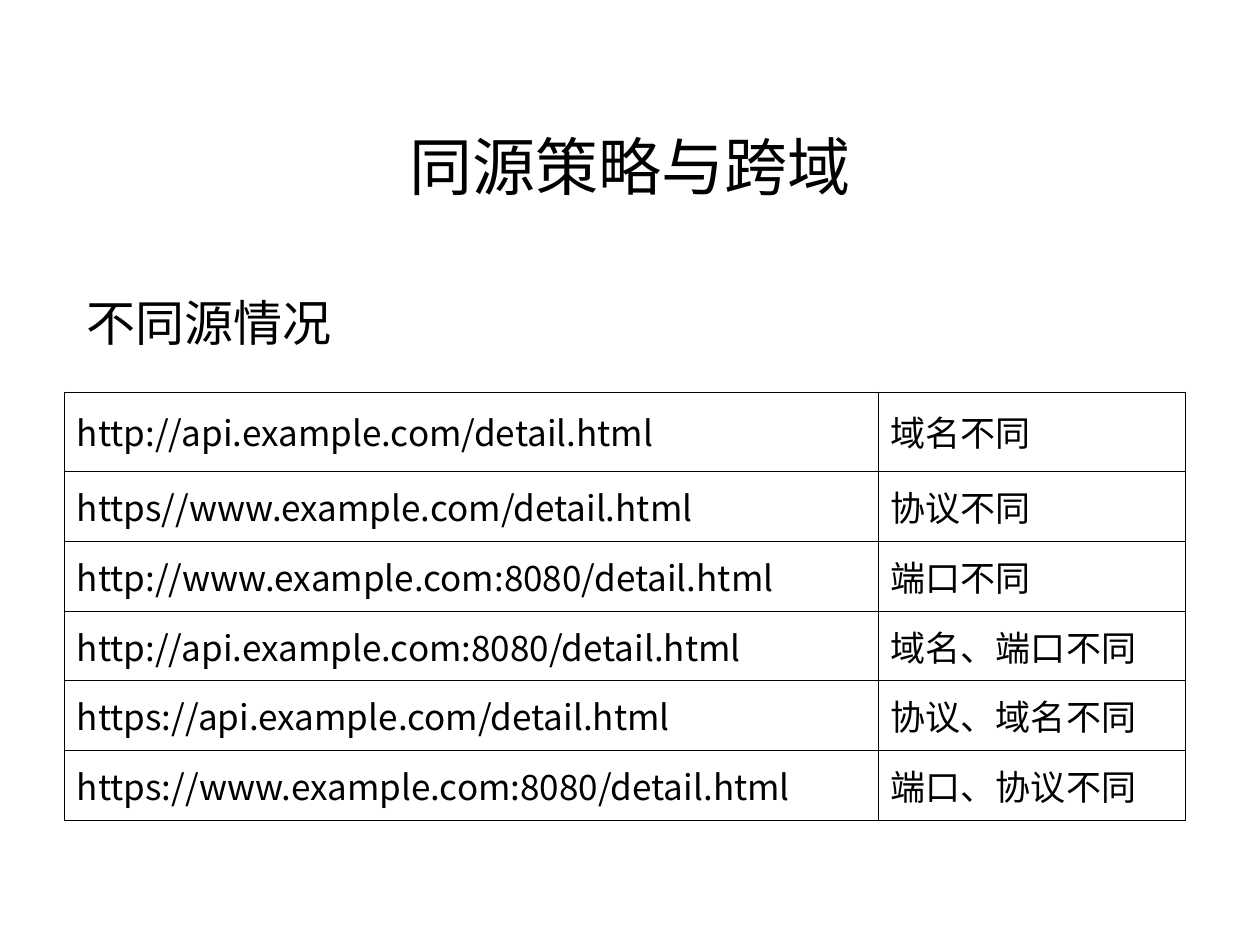
from lxml.etree import SubElement
from pptx import Presentation
from pptx.dml.color import RGBColor
from pptx.enum.text import MSO_ANCHOR, PP_ALIGN
from pptx.oxml.ns import qn
from pptx.util import Inches, Pt

TITLE = "同源策略与跨域"
HEAD = "不同源情况"
ROWS = [
    ("http://api.example.com/detail.html", "域名不同"),
    ("https//www.example.com/detail.html", "协议不同"),
    ("http://www.example.com:8080/detail.html", "端口不同"),
    ("http://api.example.com:8080/detail.html", "域名、端口不同"),
    ("https://api.example.com/detail.html", "协议、域名不同"),
    ("https://www.example.com:8080/detail.html", "端口、协议不同"),
]
COLS = [6.46, 2.44]
TALL, TABLE = 0.63, 3.4
REST = (TABLE - TALL) / (len(ROWS) - 1)
CJK = "Noto Sans CJK SC"
FONTS = [CJK, "Calibri"]
THIN, MID = 0.23, 0.45
EDGES = [
    {"lnL": THIN, "lnR": MID, "lnT": THIN, "lnB": THIN},
    {"lnL": MID, "lnR": THIN, "lnT": THIN, "lnB": THIN},
]


def color(code):
    return RGBColor.from_string(code)


def write(frame, text, size, font):
    frame.text = text
    para = frame.paragraphs[0]
    run = para.runs[0]
    run.font.size = Pt(size)
    run.font.name = font
    run.font.color.rgb = color("000000")
    SubElement(run.font._element, qn("a:ea"), typeface=CJK)
    return para


def place(shape, left, top, width, height):
    shape.left, shape.top = Inches(left), Inches(top)
    shape.width, shape.height = Inches(width), Inches(height)


def border(cell, edges):
    props = cell._tc.get_or_add_tcPr()
    for side, width in edges.items():
        line = SubElement(props, qn(f"a:{side}"), w=str(Pt(width)))
        fill = SubElement(line, qn("a:solidFill"))
        SubElement(fill, qn("a:srgbClr"), val="000000")


def main():
    deck = Presentation()
    deck.slide_width, deck.slide_height = Inches(10), Inches(7.5)
    slide = deck.slides.add_slide(deck.slide_layouts[5])

    title = slide.shapes.title
    place(title, 0.5, 0.69, 9, 1.25)
    title.text_frame.vertical_anchor = MSO_ANCHOR.MIDDLE
    write(title.text_frame, TITLE, 36, "Calibri").alignment = PP_ALIGN.CENTER

    box = slide.shapes.add_textbox(0, 0, 0, 0)
    place(box, 0.59, 2.18, 8.82, 0.66)
    box.text_frame.word_wrap = True
    write(box.text_frame, HEAD, 28, "Arial").line_spacing = 1.2

    frame = slide.shapes.add_table(
        len(ROWS), len(COLS), Inches(0.51), Inches(3.11),
        Inches(sum(COLS)), Inches(TABLE))
    table = frame.table
    table.first_row = table.horz_banding = False
    for col, width in zip(table.columns, COLS):
        col.width = Inches(width)
    for r, row in enumerate(ROWS):
        table.rows[r].height = Inches(REST if r else TALL)
        for c, text in enumerate(row):
            cell = table.cell(r, c)
            cell.vertical_anchor = MSO_ANCHOR.MIDDLE
            write(cell.text_frame, text, 20, FONTS[c]).space_before = Pt(5)
            border(cell, EDGES[c])
            cell.fill.solid()
            cell.fill.fore_color.rgb = color("FFFFFF")

    deck.save("out.pptx")


if __name__ == "__main__":
    main()
